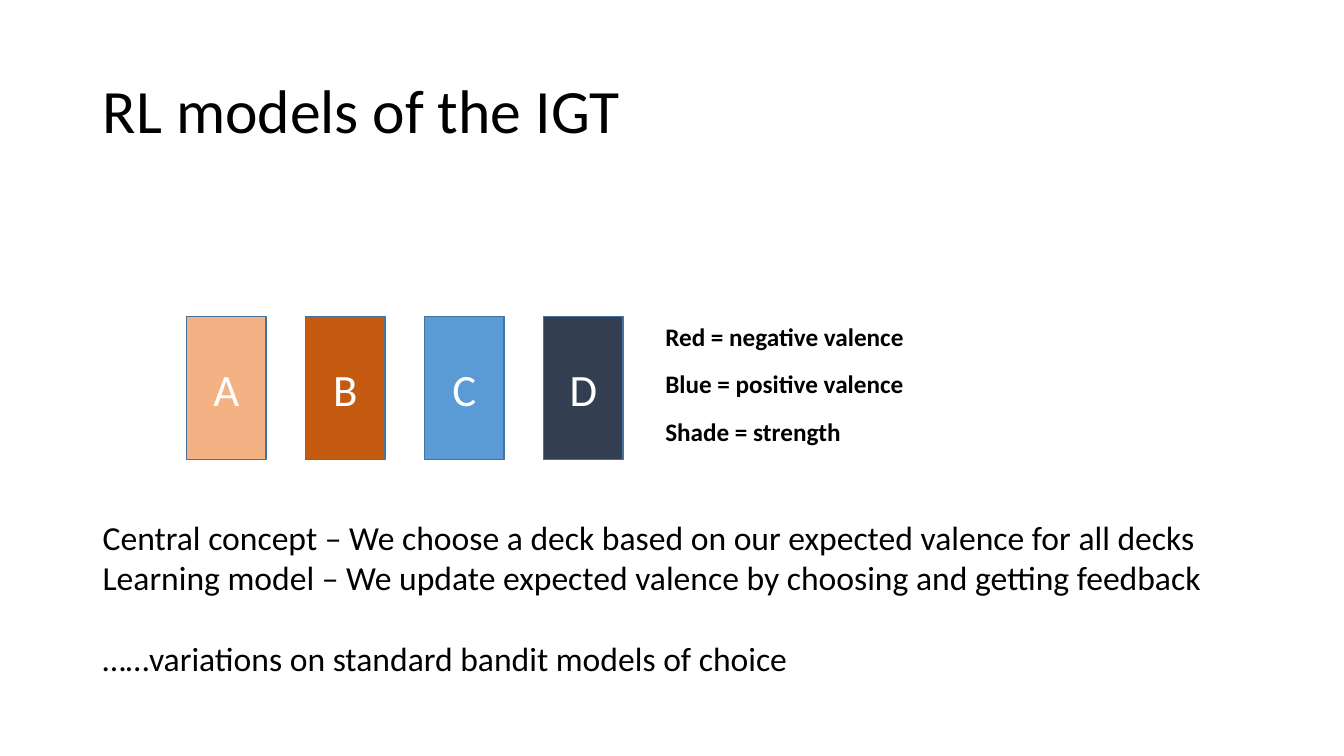
from pptx import Presentation, util as u
from pptx.dml import color
from pptx.enum import shapes, text

WIDTH, HEIGHT = 13.33, 7.5
MARGIN, CONTENT_WIDTH = 0.92, 11.5
CARD_LEFT, CARD_TOP, CARD_STEP = 1.85, 3.14, 1.18
CARD_WIDTH, CARD_HEIGHT = 0.79, 1.42
LEGEND_LEFT, LEGEND_STEP = 6.5, 0.47

CARDS = [("A", "F4B183"), ("B", "C55A11"), ("C", "5B9BD5"), ("D", "333F50")]
LEGEND = ["Red = negative valence", "Blue = positive valence", "Shade = strength"]
CONCEPTS = [
    "Central concept – We choose a deck based on our expected valence for all decks",
    "Learning model – We update expected valence by choosing and getting feedback",
    "……variations on standard bandit models of choice",
]


def rgb(value):
    """Return the colour for a hex string."""
    return color.RGBColor.from_string(value)


def inches(*lengths):
    """Convert lengths in inches to slide units."""
    return [u.Inches(length) for length in lengths]


def write(frame, lines, size, hue="000000", bold=False, align=text.PP_ALIGN.LEFT):
    """Fill a text frame with one formatted paragraph per line."""
    frame.word_wrap = True
    for index, line in enumerate(lines):
        para = frame.add_paragraph() if index else frame.paragraphs[0]
        para.text = line
        para.alignment = align
        para.font.name = "Calibri"
        para.font.size = u.Pt(size)
        para.font.bold = bold
        para.font.color.rgb = rgb(hue)


def add_title(slide, words):
    """Place and format the title placeholder."""
    title = slide.shapes.title
    title.left, title.top, title.width, title.height = inches(
        MARGIN, 0.4, CONTENT_WIDTH, 1.45)
    title.text_frame.vertical_anchor = text.MSO_ANCHOR.MIDDLE
    write(title.text_frame, [words], 44)
    title.text_frame.paragraphs[0].line_spacing = 0.9


def add_card(slide, column, letter, fill):
    """Draw one lettered card in its column."""
    card = slide.shapes.add_shape(
        shapes.MSO_SHAPE.RECTANGLE,
        *inches(CARD_LEFT + column * CARD_STEP, CARD_TOP, CARD_WIDTH, CARD_HEIGHT))
    card.shadow.inherit = False
    card.fill.solid()
    card.fill.fore_color.rgb = rgb(fill)
    card.line.color.rgb = rgb("43739E")
    card.line.width = u.Pt(1)
    card.text_frame.vertical_anchor = text.MSO_ANCHOR.MIDDLE
    write(card.text_frame, [letter], 32, "FFFFFF", align=text.PP_ALIGN.CENTER)


def add_text(slide, place, lines, size, bold=False):
    """Add a wrapping text box and return its frame."""
    frame = slide.shapes.add_textbox(*inches(*place)).text_frame
    frame.auto_size = text.MSO_AUTO_SIZE.SHAPE_TO_FIT_TEXT
    write(frame, lines, size, bold=bold)
    return frame


def main():
    """Build and save the slide."""
    deck = Presentation()
    deck.slide_width, deck.slide_height = inches(WIDTH, HEIGHT)
    slide = deck.slides.add_slide(deck.slide_layouts.get_by_name("Title Only"))
    add_title(slide, "RL models of the IGT")
    for column, (letter, fill) in enumerate(CARDS):
        add_card(slide, column, letter, fill)
    for row, line in enumerate(LEGEND):
        place = (LEGEND_LEFT, CARD_TOP + row * LEGEND_STEP, 2.68, 0.4)
        add_text(slide, place, [line], 18, bold=True)
    concepts = add_text(slide, (MARGIN, 5.08, CONTENT_WIDTH, 1.72), CONCEPTS, 24)
    concepts.paragraphs[-1].space_before = u.Pt(29)
    deck.save("out.pptx")


if __name__ == "__main__":
    main()
